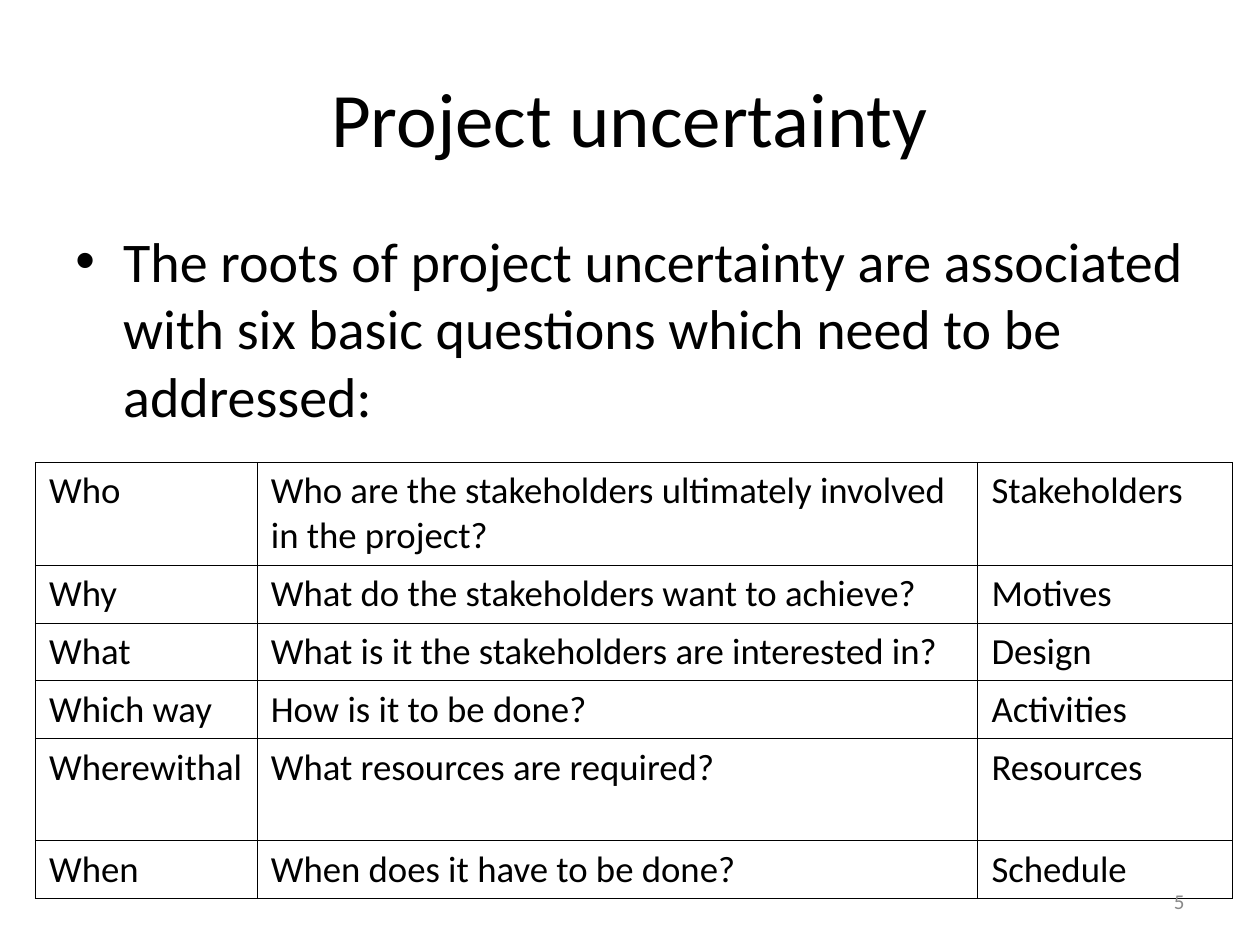
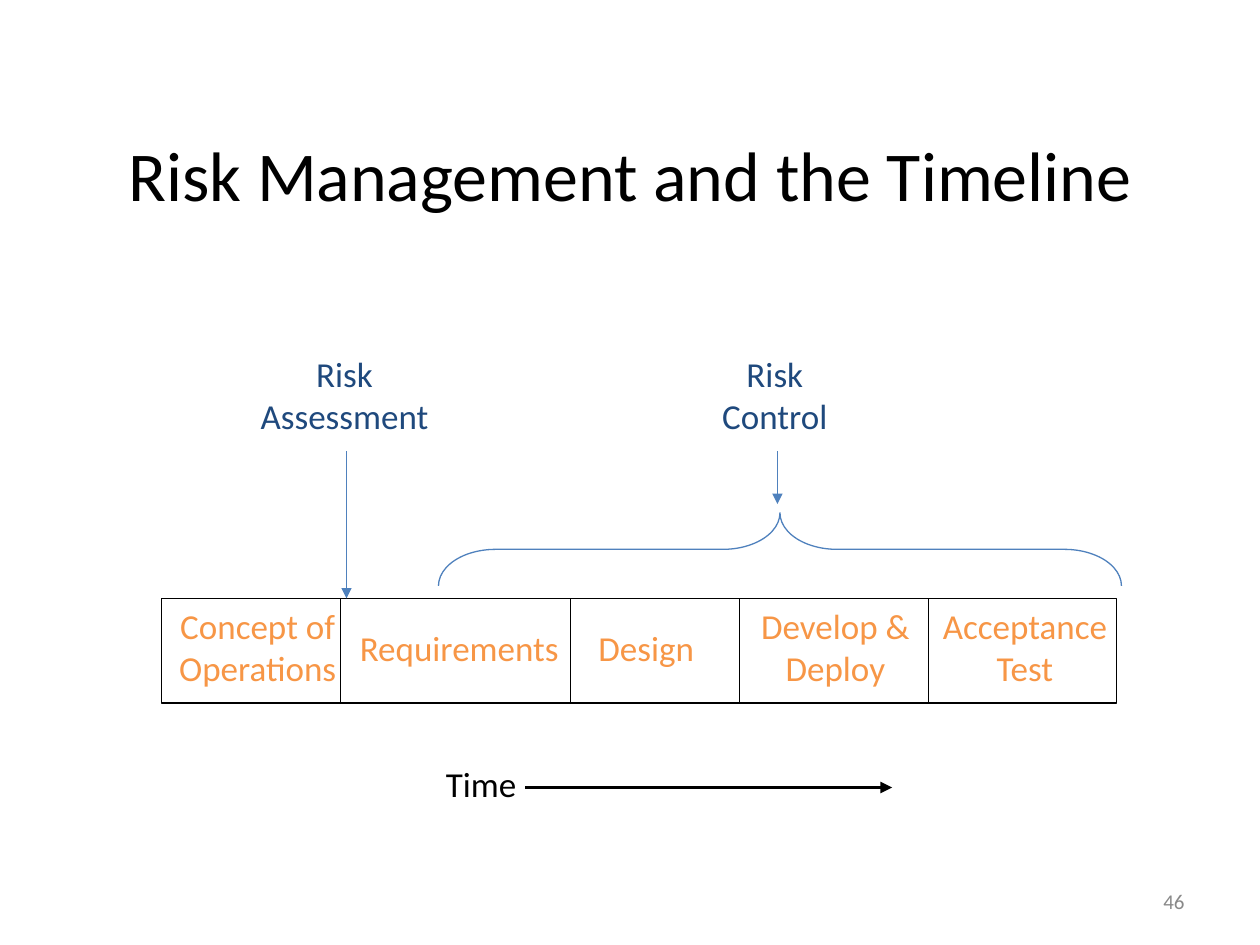
"""Builds two slides on project uncertainty and the risk timeline."""
import pptx
import pptx.dml.color
import pptx.enum.shapes
import pptx.enum.text
import pptx.oxml.ns
import pptx.oxml.xmlchemy
import pptx.util
from lxml import etree

PX = 9144
PT = pptx.util.Pt
SHAPE = pptx.enum.shapes.MSO_SHAPE
ALIGN = pptx.enum.text.PP_ALIGN
ANCHOR = pptx.enum.text.MSO_ANCHOR
qn = pptx.oxml.ns.qn
rgb = pptx.dml.color.RGBColor.from_string


class Theme:
    font = "Calibri"
    ink, grey = "000000", "898989"
    navy, blue, orange = "1F497D", "4F81BD", "F79646"
    head, body, cell, label, foot = 44, 32, 21, 20, 12
    thin, thick, grid = 0.75, 2.25, 0.45


def text(host, words, box=None, size=Theme.label, color=Theme.ink, align=ALIGN.LEFT,
         anchor=ANCHOR.TOP, wrap=True, bullet=False):
    frame = host.text_frame
    if box:
        frame.word_wrap = wrap
        frame.vertical_anchor = anchor
    for n, part in enumerate(words.split("\n")):
        para = frame.add_paragraph() if n else frame.paragraphs[0]
        if bullet:
            props = para._p.get_or_add_pPr()
            props.set("marL", str(38 * PX))
            props.set("indent", str(-38 * PX))
            etree.SubElement(props, qn("a:buFont")).set("typeface", "Arial")
            etree.SubElement(props, qn("a:buChar")).set("char", "•")
        para.alignment = align
        run = para.add_run()
        run.text = part
        run.font.name = Theme.font
        run.font.size = PT(size)
        run.font.color.rgb = rgb(color)


def line(slide, ends, color=Theme.ink, width=Theme.thin, arrow=False):
    link = slide.shapes.add_connector(
        pptx.enum.shapes.MSO_CONNECTOR.STRAIGHT, *[v * PX for v in ends])
    link.line.color.rgb = rgb(color)
    link.line.width = PT(width)
    if arrow:
        etree.SubElement(link.line._get_or_add_ln(), qn("a:tailEnd")).set("type", "triangle")
    etree.SubElement(link._element.spPr, qn("a:effectLst"))


deck = pptx.Presentation()
deck.slide_width, deck.slide_height = 1000 * PX, 750 * PX
blank = deck.slide_layouts[6]
roots, risk = [deck.slides.add_slide(blank) for _ in range(2)]

title = dict(align=ALIGN.CENTER, anchor=ANCHOR.MIDDLE)
label = dict(align=ALIGN.CENTER, wrap=False)
foot = dict(box=(717, 695, 233, 40), size=Theme.foot, color=Theme.grey,
            align=ALIGN.RIGHT, anchor=ANCHOR.MIDDLE)

rows = [
    ("Who", "Who are the stakeholders ultimately involved in the project?", "Stakeholders"),
    ("Why", "What do the stakeholders want to achieve?", "Motives"),
    ("What", "What is it the stakeholders are interested in?", "Design"),
    ("Which way", "How is it to be done?", "Activities"),
    ("Wherewithal", "What resources are required?", "Resources"),
    ("When", "When does it have to be done?", "Schedule"),
]
wide, high = (176, 572, 202), (81, 46, 46, 46, 81, 46)
table = roots.shapes.add_table(
    len(rows), len(wide), 28 * PX, 367 * PX, sum(wide) * PX, sum(high) * PX).table
table.first_row = table.horz_banding = False
for col, size in zip(table.columns, wide):
    col.width = size * PX
for row, size, words in zip(table.rows, high, rows):
    row.height = size * PX
    for cell, word in zip(row.cells, words):
        cell.margin_left = cell.margin_right = 11 * PX
        cell.margin_top = cell.margin_bottom = 5 * PX
        props = cell._tc.get_or_add_tcPr()
        for side in ("a:lnL", "a:lnR", "a:lnT", "a:lnB"):
            edge = etree.SubElement(props, qn(side), w=str(PT(Theme.grid)))
            fill = etree.SubElement(edge, qn("a:solidFill"))
            etree.SubElement(fill, qn("a:srgbClr")).set("val", Theme.ink)
        cell.fill.background()
        text(cell, word, size=Theme.cell)

band = risk.shapes.add_shape(SHAPE.RECTANGLE, 128 * PX, 475 * PX, 758 * PX, 83 * PX)
brace = risk.shapes.add_shape(SHAPE.LEFT_BRACE, 590 * PX, 165 * PX, 58 * PX, 542 * PX)
brace.rotation = 90
brace.adjustments[0] = 0.78
for shape, color in ((band, Theme.ink), (brace, Theme.blue)):
    shape.shadow.inherit = False
    shape.fill.background()
    shape.line.color.rgb = rgb(color)
    shape.line.width = PT(Theme.thin)
for x in (270, 453, 587, 737):
    line(risk, (x, 475, x, 558))
for x, end in ((275, 475), (617, 400)):
    line(risk, (x, 358, x, end), color=Theme.blue, arrow=True)
line(risk, (417, 625, 708, 625), width=Theme.thick, arrow=True)

stage = dict(label, color=Theme.orange)
cause = dict(label, color=Theme.navy)
notes = [
    (roots, "Project uncertainty", dict(title, box=(50, 30, 900, 125), size=Theme.head)),
    (roots, "The roots of project uncertainty are associated with six basic questions "
            "which need to be addressed:",
     dict(box=(50, 175, 900, 495), size=Theme.body, bullet=True)),
    (roots, "5", foot),
    (risk, "Risk Management and the Timeline",
     dict(title, box=(75, 75, 850, 125), size=40)),
    (risk, "Concept of\nOperations", dict(stage, box=(132, 475, 145, 77))),
    (risk, "Requirements", dict(stage, box=(275, 492, 179, 44))),
    (risk, "Design", dict(stage, box=(465, 492, 96, 44))),
    (risk, "Develop &\nDeploy", dict(stage, box=(594, 475, 138, 77))),
    (risk, "Acceptance\nTest", dict(stage, box=(738, 475, 151, 77))),
    (risk, "Risk\nAssessment", dict(cause, box=(197, 275, 153, 77))),
    (risk, "Risk\nControl", dict(cause, box=(563, 275, 104, 77))),
    (risk, "Time", dict(box=(344, 600, 76, 44), wrap=False)),
    (risk, "46", foot),
]
for slide, words, form in notes:
    text(slide.shapes.add_textbox(*[v * PX for v in form["box"]]), words, **form)

deck.save("out.pptx")
